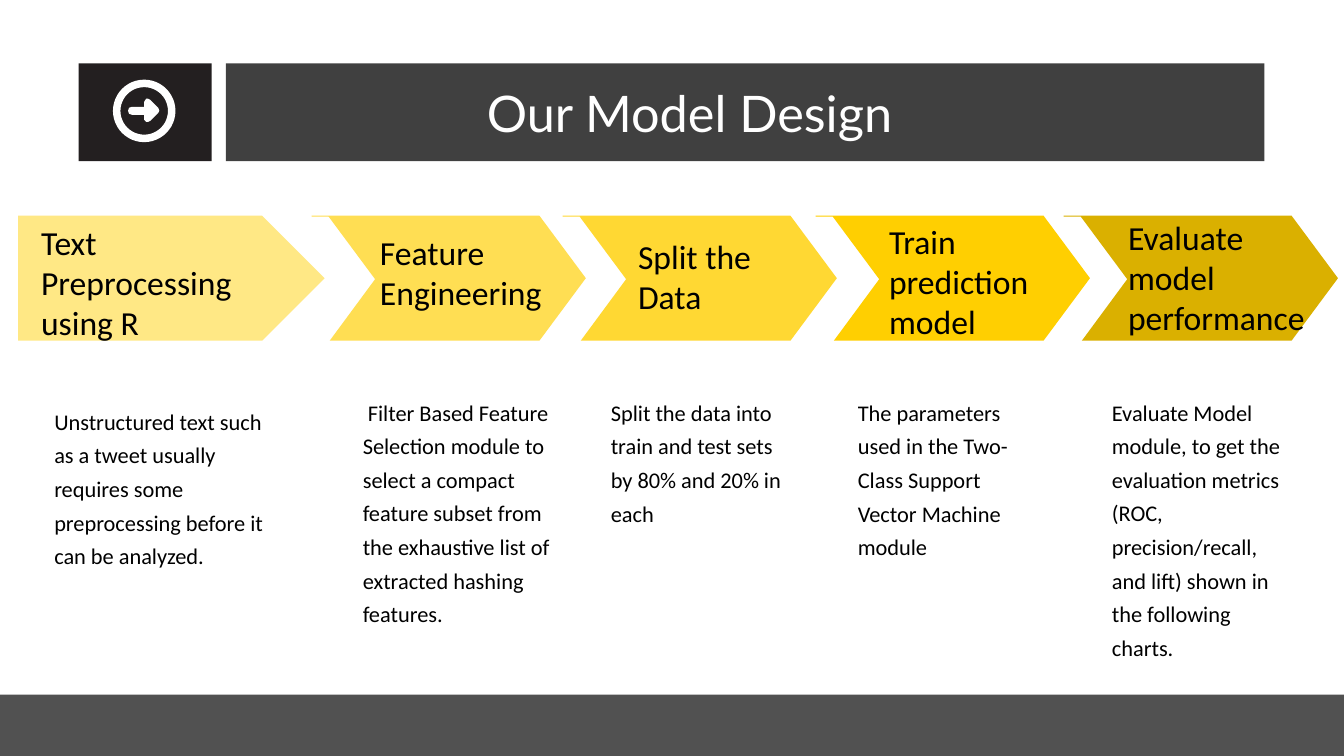
from lxml import etree
from pptx import Presentation
from pptx.dml.color import RGBColor
from pptx.enum.shapes import MSO_SHAPE
from pptx.oxml.ns import qn
from pptx.util import Inches, Pt

COLORS = {
    "white": "FFFFFF",
    "black": "000000",
    "icon": "231F20",
    "title": "404040",
    "footer": "262626",
    "pale": "FFE885",
    "light": "FFDE53",
    "gold": "FFCF01",
    "dark": "DAB000",
}

presentation = Presentation()
presentation.slide_width = Inches(13.33)
presentation.slide_height = Inches(7.5)
slide = presentation.slides.add_slide(presentation.slide_layouts[6])


def paint(shape, color, opacity=100):
    shape.shadow.inherit = False
    shape.fill.solid()
    shape.fill.fore_color.rgb = RGBColor.from_string(COLORS[color])
    shape.line.fill.background()
    if opacity < 100:
        fill_color = shape._element.spPr.find(qn("a:solidFill"))[0]
        etree.SubElement(fill_color, qn("a:alpha")).set("val", str(opacity * 1000))


def add_text(text, left, top, width, height, size, font="Calibri", color="black", spacing=None):
    box = slide.shapes.add_textbox(Inches(left), Inches(top), Inches(width), Inches(height))
    box.text_frame.word_wrap = True
    paragraph = box.text_frame.paragraphs[0]
    paragraph.text = text
    paragraph.line_spacing = spacing
    paragraph.font.size = Pt(size)
    paragraph.font.name = font
    paragraph.font.color.rgb = RGBColor.from_string(COLORS[color])


presets = [
    (MSO_SHAPE.RECTANGLE, 0.78, 0.63, 1.32, 0.97, "icon", 100),
    (MSO_SHAPE.DONUT, 1.12, 0.79, 0.62, 0.62, "white", 100),
    (MSO_SHAPE.RECTANGLE, 2.24, 0.63, 10.3, 0.97, "title", 100),
    (MSO_SHAPE.PENTAGON, 0.18, 2.14, 3.04, 1.24, "pale", 100),
    (MSO_SHAPE.RECTANGLE, 0, 6.89, 13.33, 0.61, "footer", 80),
]
for kind, left, top, width, height, color, opacity in presets:
    shape = slide.shapes.add_shape(kind, Inches(left), Inches(top), Inches(width), Inches(height))
    paint(shape, color, opacity)
    if kind == MSO_SHAPE.DONUT:
        shape.adjustments[0] = 0.12

icon_arrow = [
    (1.57, 1.07), (1.58, 1.1), (1.57, 1.12), (1.49, 1.2), (1.47, 1.21), (1.45, 1.21),
    (1.43, 1.19), (1.43, 1.14), (1.31, 1.14), (1.28, 1.13), (1.27, 1.1), (1.28, 1.07),
    (1.31, 1.06), (1.43, 1.06), (1.43, 1.01), (1.45, 0.98), (1.47, 0.98), (1.49, 0.99),
]
chevron = [
    (0, 0), (2.26, 0), (2.72, 0.62), (2.26, 1.24), (0.18, 1.24), (0.63, 0.63), (0.17, 0.01), (0, 0.01),
]
outlines = [
    (icon_arrow, 0, 0, "white", 100),
    (chevron, 3.09, 2.14, "light", 100),
    (chevron, 5.58, 2.14, "gold", 80),
    (chevron, 8.09, 2.14, "gold", 100),
    (chevron, 10.55, 2.14, "dark", 100),
]
for outline, left, top, color, opacity in outlines:
    points = [(Inches(left + x), Inches(top + y)) for x, y in outline]
    builder = slide.shapes.build_freeform(*points[0])
    builder.add_line_segments(points[1:], close=True)
    paint(builder.convert_to_shape(), color, opacity)

add_text("Our Model Design", 4.73, 0.77, 5.82, 0.71, 36, "Lato", "white")

step_titles = [
    ("Text Preprocessing using R", 0.31, 2.15, 2.5, 1.31),
    ("Feature Engineering", 3.67, 2.25, 1.92, 0.91),
    ("Split the Data", 6.23, 2.29, 1.64, 0.91),
    ("Train prediction model", 8.72, 2.14, 1.63, 1.31),
    ("Evaluate model performance", 11.09, 2.1, 2.02, 1.31),
]
for step_title in step_titles:
    add_text(*step_title, size=24)

step_details = [
    ("Unstructured text such as a tweet usually requires some preprocessing before it can be analyzed.",
     0.44, 3.93, 2.44, 1.77),
    (" Filter Based Feature Selection module to select a compact feature subset from "
     "the exhaustive list of extracted hashing features.", 3.5, 3.84, 2.16, 2.43),
    ("Split the data into train and test sets by 80% and 20% in each", 5.96, 3.84, 1.97, 1.45),
    ("The parameters used in the Two-Class Support Vector Machine module", 8.41, 3.84, 1.76, 1.78),
    ("Evaluate Model module, to get the evaluation metrics (ROC, precision/recall, "
     "and lift) shown in the following charts.", 10.93, 3.84, 1.96, 2.77),
]
for step_detail in step_details:
    add_text(*step_detail, size=16, spacing=Pt(24))

presentation.save("out.pptx")
